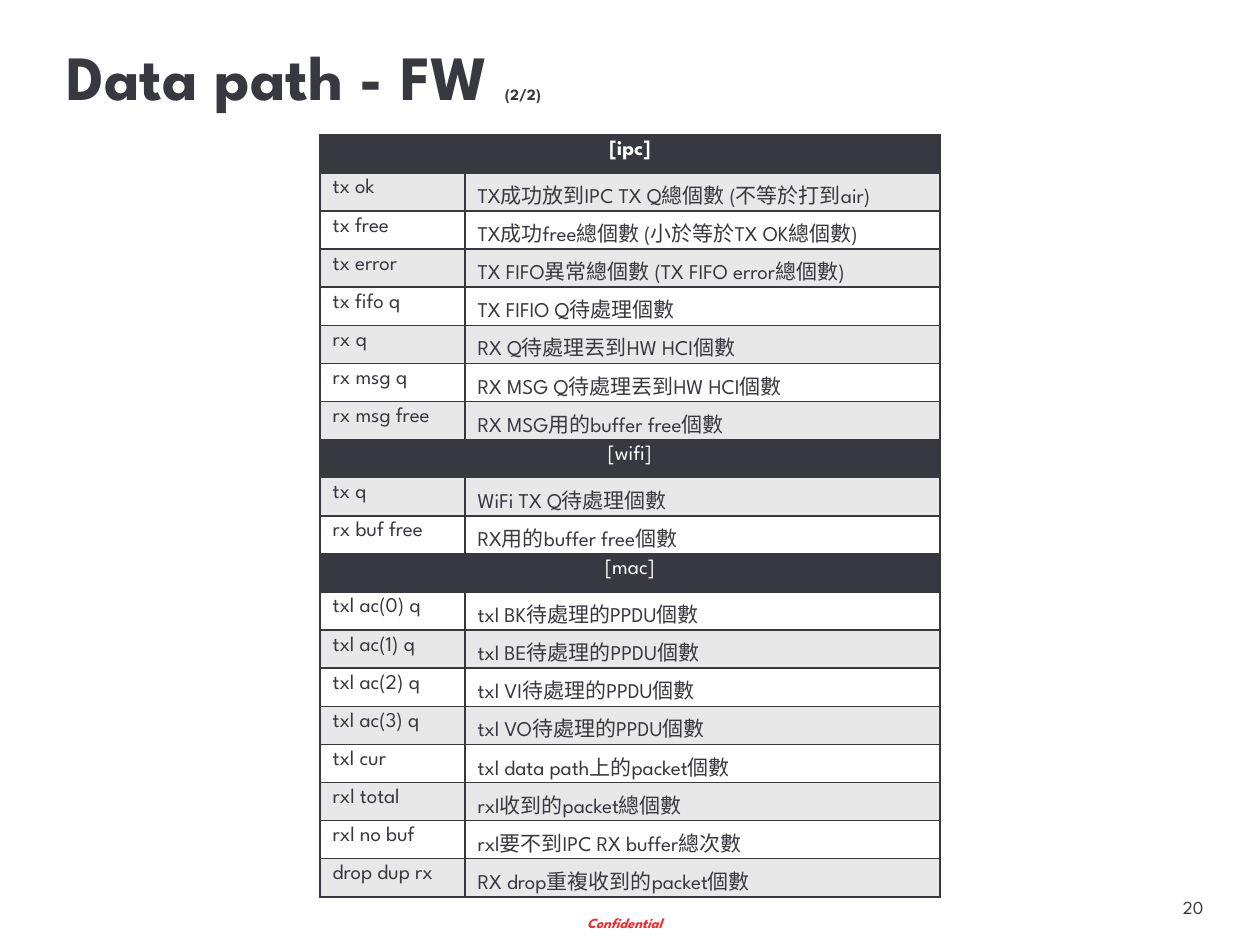
from lxml import etree
from pptx import Presentation
from pptx.dml.color import RGBColor
from pptx.enum import text
from pptx.oxml.ns import qn
from pptx.util import Inches, Pt

FONT = "League Spartan"
DARK, GREY, WHITE, RED = "383841", "E8E8E9", "FFFFFF", "E72D30"
SECTIONS = {
    "[ipc]": [
        ("tx ok", "TX成功放到IPC TX Q總個數 (不等於打到air)"),
        ("tx free", "TX成功free總個數 (小於等於TX OK總個數)"),
        ("tx error", "TX FIFO異常總個數 (TX FIFO error總個數)"),
        ("tx fifo q", "TX FIFIO Q待處理個數"),
        ("rx q", "RX Q待處理丟到HW HCI個數"),
        ("rx msg q", "RX MSG Q待處理丟到HW HCI個數"),
        ("rx msg free", "RX MSG用的buffer free個數"),
    ],
    "[wifi]": [
        ("tx q", "WiFi TX Q待處理個數"),
        ("rx buf free", "RX用的buffer free個數"),
    ],
    "[mac]": [
        *((f"txl ac({index}) q", f"txl {name}待處理的PPDU個數")
          for index, name in enumerate(("BK", "BE", "VI", "VO"))),
        ("txl cur", "txl data path上的packet個數"),
        ("rxl total", "rxl收到的packet總個數"),
        ("rxl no buf", "rxl要不到IPC RX buffer總次數"),
        ("drop dup rx", "RX drop重複收到的packet個數"),
    ],
}


def color(value):
    return RGBColor.from_string(value)


def add_span(para, words, size, ink=DARK, **styles):
    span = para.add_run()
    span.text = words
    formats = {"name": FONT, "size": Pt(size), "bold": False, **styles}
    for name, value in formats.items():
        setattr(span.font, name, value)
    span.font.color.rgb = color(ink)


def add_text(page, box, spans, align=text.PP_ALIGN.LEFT,
             anchor=text.MSO_ANCHOR.TOP, wrap=True):
    """Place one paragraph; each span is (words, size, styles)."""
    frame = page.shapes.add_textbox(*map(Inches, box)).text_frame
    frame.word_wrap = wrap
    frame.vertical_anchor = anchor
    para = frame.paragraphs[0]
    para.alignment = align
    for words, size, styles in spans:
        add_span(para, words, size, **styles)


def add_borders(cell, width=1):
    """Outline all sides; the lines must precede the fill in the cell."""
    properties = cell._tc.get_or_add_tcPr()
    for position, side in enumerate(("lnL", "lnR", "lnT", "lnB")):
        line = etree.Element(qn(f"a:{side}"), w=str(Pt(width)))
        fill = etree.SubElement(line, qn("a:solidFill"))
        etree.SubElement(fill, qn("a:srgbClr"), val=DARK)
        properties.insert(position, line)


def fill_cell(cell, words, back, ink=DARK, align=text.PP_ALIGN.LEFT, bold=False):
    cell.fill.solid()
    cell.fill.fore_color.rgb = color(back)
    cell.margin_top, cell.margin_bottom = Inches(0.05), 0
    para = cell.text_frame.paragraphs[0]
    para.alignment = align
    add_span(para, words, 12, ink, bold=bold)


def add_counters(page, box, first_width=1.15):
    left, top, width, height = box
    rows = [row for heading, items in SECTIONS.items()
            for row in [(heading, None), *items]]
    table = page.shapes.add_table(len(rows), 2, *map(Inches, box)).table
    for column, size in zip(table.columns, (first_width, width - first_width)):
        column.width = Inches(size)
    for index, (name, meaning) in enumerate(rows):
        table.rows[index].height = Inches(height / len(rows))
        first, second = table.rows[index].cells
        if meaning is None:
            first.merge(second)
            fill_cell(first, name, DARK, WHITE, text.PP_ALIGN.CENTER, index == 0)
        else:
            back = GREY if index % 2 else WHITE
            fill_cell(first, name, back)
            fill_cell(second, meaning, back)
        for cell in (first, second):
            add_borders(cell)


def add_title(page, box):
    add_text(page, box, [("Data path - FW ", 36, {"bold": True}),
                         ("(2/2)", 9, {"bold": True})],
             anchor=text.MSO_ANCHOR.MIDDLE)


def add_footer(page, label_box, number_box):
    add_text(page, label_box, [("Confidential", 8, {
        "ink": RED, "bold": True, "italic": True})])
    add_text(page, number_box, [("20", 10.5, {})],
             align=text.PP_ALIGN.CENTER, wrap=False)


def main():
    deck = Presentation()
    deck.slide_width, deck.slide_height = Inches(10), Inches(7.5)
    page = deck.slides.add_slide(deck.slide_layouts[6])
    add_footer(page, (4.56, 7.21, 0.86, 0.24), (9.28, 7.06, 0.38, 0.29))
    add_counters(page, (2.54, 1.07, 4.92, 6.05))
    add_title(page, (0.43, 0.21, 9.14, 0.78))
    deck.save("out.pptx")


if __name__ == "__main__":
    main()
